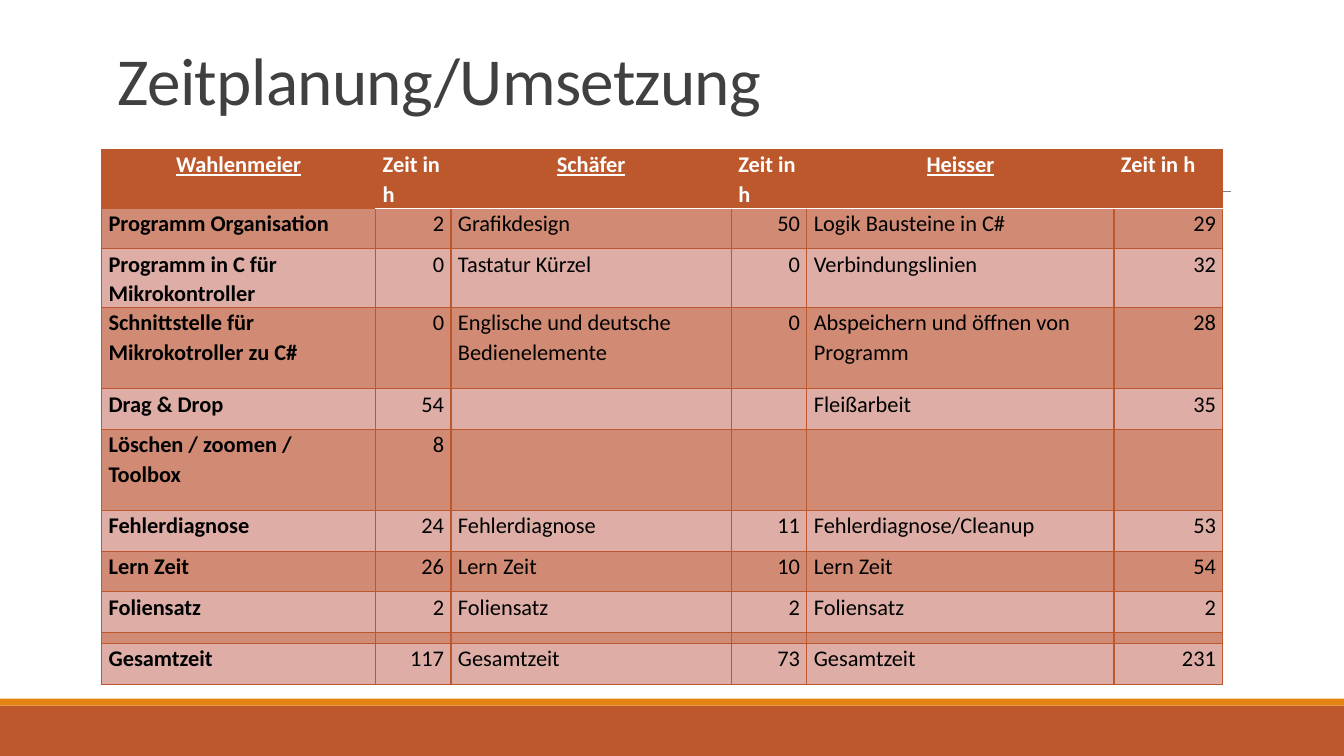
"""Build the slide with the time plan of the three team members."""
from dataclasses import dataclass

from lxml import etree
from pptx import Presentation
from pptx.dml.color import RGBColor
from pptx.enum.shapes import MSO_CONNECTOR, MSO_SHAPE
from pptx.enum.text import MSO_ANCHOR, MSO_AUTO_SIZE, PP_ALIGN
from pptx.oxml.ns import qn
from pptx.util import Pt

LEFT, CENTER, RIGHT = PP_ALIGN.LEFT, PP_ALIGN.CENTER, PP_ALIGN.RIGHT
BOTTOM, NO_AUTOFIT = MSO_ANCHOR.BOTTOM, MSO_AUTO_SIZE.NONE
RECTANGLE, STRAIGHT = MSO_SHAPE.RECTANGLE, MSO_CONNECTOR.STRAIGHT

TITLE = "Zeitplanung/Umsetzung"
HEADER = ("Wahlenmeier", "Zeit in h", "Schäfer", "Zeit in h", "Heisser", "Zeit in h")
TASKS = [
    ("Programm Organisation", "2", "Grafikdesign", "50", "Logik Bausteine in C#", "29"),
    ("Programm in C für Mikrokontroller", "0", "Tastatur Kürzel", "0", "Verbindungslinien", "32"),
    ("Schnittstelle für Mikrokotroller zu C#", "0", "Englische und deutsche Bedienelemente", "0",
     "Abspeichern und öffnen von Programm", "28"),
    ("Drag & Drop", "54", "", "", "Fleißarbeit", "35"),
    ("Löschen / zoomen /\nToolbox", "8", "", "", "", ""),
    ("Fehlerdiagnose", "24", "Fehlerdiagnose", "11", "Fehlerdiagnose/Cleanup", "53"),
    ("Lern Zeit", "26", "Lern Zeit", "10", "Lern Zeit", "54"),
    ("Foliensatz", "2", "Foliensatz", "2", "Foliensatz", "2"),
    ("", "", "", "", "", ""),
    ("Gesamtzeit", "117", "Gesamtzeit", "73", "Gesamtzeit", "231"),
]

SLIDE_WIDTH, SLIDE_HEIGHT = 960, 540
FOOTER_HEIGHT, STRIPE_HEIGHT = 36, 5
TABLE_LEFT, TABLE_TOP = 72.6, 106.8
COLUMN_WIDTHS = (195.8, 53.8, 200.2, 54, 219.4, 77.8)
ROW_HEIGHTS = (42, 29, 42, 58, 29, 58, 29, 29, 29, 8, 29)


@dataclass(frozen=True)
class Theme:
    """Colours, font and type sizes of the slide."""
    rust: str = "BD582C"
    orange: str = "E48312"
    dark_band: str = "D18B75"
    light_band: str = "DEAEA6"
    rule: str = "808080"
    title: str = "404040"
    header_text: str = "FFFFFF"
    body_text: str = "000000"
    font: str = "Calibri"
    title_size: float = 48
    table_size: float = 16
    empty_size: float = 5


THEME = Theme()


def color(code):
    """Return the colour for a hex code."""
    return RGBColor.from_string(code)


def add_text(paragraph, text, size, code, bold=False, underline=False):
    """Add one formatted run."""
    run = paragraph.add_run()
    run.text = text
    run.font.name = THEME.font
    run.font.size = Pt(size)
    run.font.color.rgb = color(code)
    run.font.bold = bold
    run.font.underline = underline
    return run


def add_title(slide):
    """Place and fill the title placeholder."""
    title = slide.shapes.title
    title.left, title.top, title.width, title.height = Pt(77), Pt(-26), Pt(792), Pt(114.5)
    frame = title.text_frame
    frame.auto_size = NO_AUTOFIT
    frame.word_wrap = True
    frame.vertical_anchor = BOTTOM
    paragraph = frame.paragraphs[0]
    paragraph.alignment = LEFT
    paragraph.line_spacing = 0.85
    run = add_text(paragraph, TITLE, THEME.title_size, THEME.title)
    run.font._element.set("spc", "-50")


def add_bar(slide, top, height, code):
    """Add a full-width bar."""
    bar = slide.shapes.add_shape(RECTANGLE, 0, Pt(top), Pt(SLIDE_WIDTH), Pt(height))
    bar.shadow.inherit = False
    bar.fill.solid()
    bar.fill.fore_color.rgb = color(code)
    bar.line.fill.background()


def add_rule(slide):
    """Add the thin rule below the title."""
    rule = slide.shapes.add_connector(STRAIGHT, Pt(94), Pt(136.8), Pt(879), Pt(136.8))
    rule.line.color.rgb = color(THEME.rule)
    rule.line.width = Pt(0.5)
    etree.SubElement(rule._element.spPr, qn("a:effectLst"))


def set_border(cell, side, code, width):
    """Draw one side of a cell."""
    border = etree.SubElement(cell._tc.get_or_add_tcPr(), qn(f"a:ln{side}"), w=str(Pt(width)))
    fill = etree.SubElement(border, qn("a:solidFill"))
    etree.SubElement(fill, qn("a:srgbClr"), val=code)


def style_cell(cell, row, column):
    """Set margins, borders and band colour of a cell."""
    cell.margin_left = cell.margin_right = Pt(5)
    cell.margin_top = cell.margin_bottom = 0
    white_sides = {0: "B", 1: "T"}.get(row, "") if column else ""
    for side in "LRTB":
        if side in white_sides:
            set_border(cell, side, THEME.header_text, 1.25)
        else:
            set_border(cell, side, THEME.rust, 1)
    band = THEME.dark_band if row % 2 else THEME.light_band
    cell.fill.solid()
    cell.fill.fore_color.rgb = color(band if row else THEME.rust)


def fill_cell(cell, text, row, column):
    """Write the text of a cell."""
    is_header, is_hours = row == 0, column % 2 == 1
    if is_header:
        alignment = LEFT if is_hours else CENTER
    else:
        alignment = RIGHT if is_hours else LEFT
    for index, line in enumerate(text.split("\n")):
        paragraph = cell.text_frame.add_paragraph() if index else cell.text_frame.paragraphs[0]
        paragraph.alignment = alignment
        if line:
            paragraph.line_spacing = 1.07
            add_text(paragraph, line, THEME.table_size,
                     THEME.header_text if is_header else THEME.body_text,
                     bold=is_header or column == 0, underline=is_header and not is_hours)
        else:
            etree.SubElement(paragraph._p, qn("a:endParaRPr"), sz=str(THEME.empty_size * 100))


def add_time_table(slide):
    """Add the table of tasks and hours."""
    rows = [HEADER, *TASKS]
    table = slide.shapes.add_table(
        len(rows), len(HEADER), Pt(TABLE_LEFT), Pt(TABLE_TOP),
        Pt(sum(COLUMN_WIDTHS)), Pt(sum(ROW_HEIGHTS))).table
    for column, width in zip(table.columns, COLUMN_WIDTHS):
        column.width = Pt(width)
    for row, height in zip(table.rows, ROW_HEIGHTS):
        row.height = Pt(height)
    for row, texts in enumerate(rows):
        for column, text in enumerate(texts):
            cell = table.cell(row, column)
            style_cell(cell, row, column)
            fill_cell(cell, text, row, column)


def main():
    """Build and save the presentation."""
    presentation = Presentation()
    presentation.slide_width, presentation.slide_height = Pt(SLIDE_WIDTH), Pt(SLIDE_HEIGHT)
    slide = presentation.slides.add_slide(presentation.slide_layouts[5])
    footer_top = SLIDE_HEIGHT - FOOTER_HEIGHT
    add_bar(slide, footer_top, FOOTER_HEIGHT, THEME.rust)
    add_bar(slide, footer_top - STRIPE_HEIGHT, STRIPE_HEIGHT, THEME.orange)
    add_rule(slide)
    add_title(slide)
    add_time_table(slide)
    presentation.save("out.pptx")


if __name__ == "__main__":
    main()
